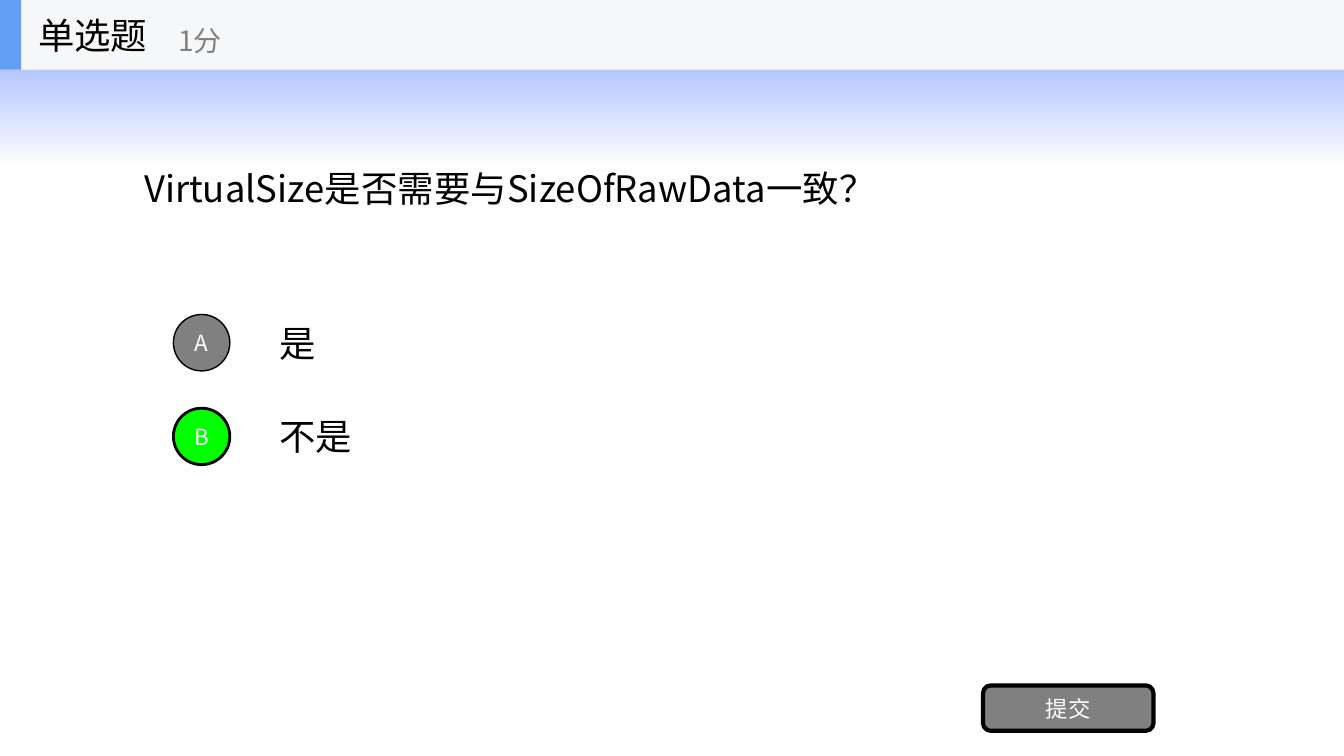
from dataclasses import dataclass

from lxml import etree
from pptx import Presentation
from pptx import util as u
from pptx.dml.color import RGBColor
from pptx.enum import shapes, text
from pptx.oxml import parse_xml
from pptx.oxml.ns import nsdecls, qn

FONT = "Noto Sans CJK SC"
BLACK = RGBColor(0x00, 0x00, 0x00)
WHITE = RGBColor(0xFF, 0xFF, 0xFF)
GRAY = RGBColor(0x80, 0x80, 0x80)
GREEN = RGBColor(0x00, 0xFF, 0x00)
BAR = RGBColor(0xF6, 0xF7, 0xF8)
ACCENT = RGBColor(0x63, 0x9E, 0xF4)

WIDTH = 13.33
HEADER_HEIGHT = 0.69
OPTION_TOP = 3.05
OPTION_STEP = 0.93
OPTION_HEIGHT = 0.7
BADGE_SIZE = 0.56


@dataclass
class Box:
    left: float
    top: float
    width: float
    height: float

    def inches(self) -> tuple:
        return tuple(map(u.Inches, (self.left, self.top, self.width, self.height)))


@dataclass
class Option:
    letter: str
    answer: str
    fill: RGBColor
    line_width: int


OPTIONS = [
    Option("A", "是", GRAY, 1),
    Option("B", "不是", GREEN, 2),
]


def write(shape, words: str, size: int, color: RGBColor,
          align=text.PP_ALIGN.LEFT, wrap: bool = True) -> None:
    frame = shape.text_frame
    frame.text = words
    frame.word_wrap = wrap
    frame.auto_size = text.MSO_AUTO_SIZE.NONE
    frame.vertical_anchor = text.MSO_ANCHOR.MIDDLE
    paragraph = frame.paragraphs[0]
    paragraph.alignment = align
    paragraph.font.size = u.Pt(size)
    paragraph.font.color.rgb = color
    paragraph.font.name = FONT
    defaults = paragraph._p.pPr.find(qn("a:defRPr"))
    etree.SubElement(defaults, qn("a:ea")).set("typeface", FONT)


def add_label(parent, box: Box, words: str, size: int = 26,
              color: RGBColor = BLACK, wrap: bool = True) -> None:
    write(parent.add_textbox(*box.inches()), words, size, color, wrap=wrap)


def add_panel(parent, kind, box: Box, fill: RGBColor):
    panel = parent.add_shape(kind, *box.inches())
    panel.shadow.inherit = False
    panel.fill.solid()
    panel.fill.fore_color.rgb = fill
    panel.line.fill.background()
    return panel


def add_button(parent, kind, box: Box, words: str, fill: RGBColor,
               line_width: int) -> None:
    button = add_panel(parent, kind, box, fill)
    button.line.color.rgb = BLACK
    button.line.width = u.Pt(line_width)
    write(button, words, 16, WHITE, text.PP_ALIGN.CENTER)


def add_glow(slide) -> None:
    glow = add_panel(slide.shapes, shapes.MSO_SHAPE.RECTANGLE,
                     Box(0, 0, WIDTH, 1.62), WHITE)
    gradient = parse_xml(
        f'<a:gradFill {nsdecls("a")} rotWithShape="1"><a:gsLst>'
        '<a:gs pos="0"><a:srgbClr val="3366FF"><a:alpha val="60000"/></a:srgbClr></a:gs>'
        '<a:gs pos="100000"><a:srgbClr val="FFFFFF"><a:alpha val="70000"/></a:srgbClr></a:gs>'
        '</a:gsLst><a:lin ang="5400000" scaled="0"/></a:gradFill>')
    properties = glow._element.spPr
    properties.replace(properties.find(qn("a:solidFill")), gradient)
    slide.shapes._spTree.insert(2, glow._element)


def add_header(slide) -> None:
    header = slide.shapes.add_group_shape().shapes
    rectangle = shapes.MSO_SHAPE.RECTANGLE
    add_panel(header, rectangle, Box(0, 0, WIDTH, HEADER_HEIGHT), BAR)
    add_panel(header, rectangle, Box(0, 0, 0.21, HEADER_HEIGHT), ACCENT)
    add_label(header, Box(0.28, 0, 2.08, HEADER_HEIGHT), "单选题", wrap=False)
    add_label(header, Box(1.67, 0.12, 2.5, 0.56), "1分", 20, GRAY, wrap=False)


def main() -> None:
    deck = Presentation()
    deck.slide_width, deck.slide_height = u.Inches(WIDTH), u.Inches(7.5)
    slide = deck.slides.add_slide(deck.slide_layouts[5])

    add_glow(slide)
    question = slide.shapes.title
    question.left, question.top, question.width, question.height = Box(
        1.33, HEADER_HEIGHT, 10.67, 2.34).inches()
    write(question, "VirtualSize是否需要与SizeOfRawData一致？", 26, BLACK)

    for row, option in enumerate(OPTIONS):
        top = OPTION_TOP + row * OPTION_STEP
        badge_top = top + (OPTION_HEIGHT - BADGE_SIZE) / 2
        add_label(slide.shapes, Box(2.67, top, 9.33, OPTION_HEIGHT), option.answer)
        add_button(slide.shapes, shapes.MSO_SHAPE.OVAL,
                   Box(1.72, badge_top, BADGE_SIZE, BADGE_SIZE),
                   option.letter, option.fill, option.line_width)

    add_button(slide.shapes, shapes.MSO_SHAPE.ROUNDED_RECTANGLE,
               Box(9.75, 6.8, 1.69, 0.45), "提交", GRAY, 3)
    add_header(slide)
    deck.save("out.pptx")


if __name__ == "__main__":
    main()
